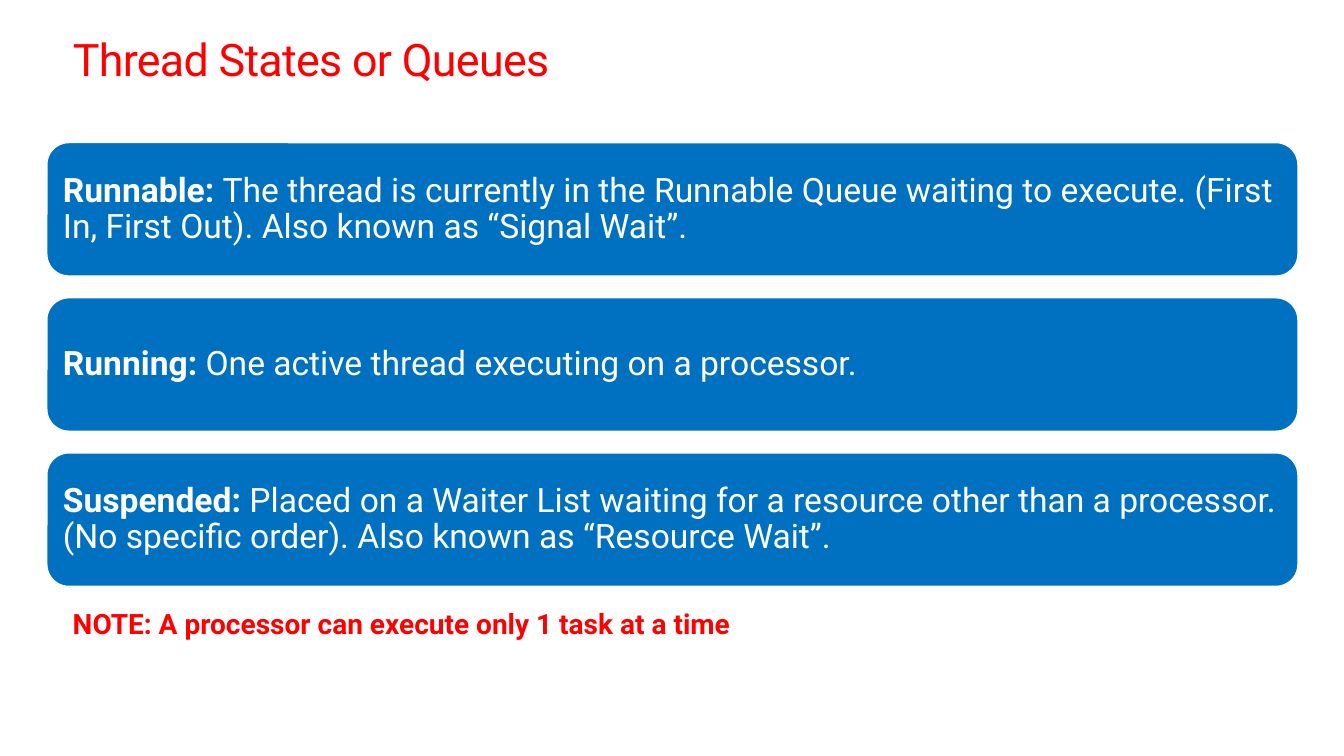
from pptx import Presentation
from pptx.dml.color import RGBColor
from pptx.enum import shapes, text
from pptx.util import Pt

RED = RGBColor(0xFF, 0x00, 0x00)
BLUE = RGBColor(0x00, 0x70, 0xC0)
WHITE = RGBColor(0xFF, 0xFF, 0xFF)
FONT = "Roboto"

STATES = [
    ("Runnable: ", "The thread is currently in the Runnable Queue waiting to execute. "
                   "(First In, First Out). Also known as “Signal Wait”."),
    ("Running: ", "One active thread executing on a processor."),
    ("Suspended: ", "Placed on a Waiter List waiting for a resource other than a processor. "
                    "(No specific order). Also known as “Resource Wait”."),
]


def write(frame, runs, size, color, inset=0, anchor=text.MSO_ANCHOR.TOP,
          line_spacing=None, tracking=None):
    """Fill a text frame with one paragraph of (wording, bold) runs."""
    frame.word_wrap = True
    frame.vertical_anchor = anchor
    frame.margin_left = frame.margin_right = Pt(inset)
    frame.margin_top = frame.margin_bottom = Pt(inset)
    paragraph = frame.paragraphs[0]
    paragraph.alignment = text.PP_ALIGN.LEFT
    paragraph.line_spacing = line_spacing
    for wording, bold in runs:
        run = paragraph.add_run()
        run.text = wording
        run.font.name = FONT
        run.font.size = Pt(size)
        run.font.bold = bold
        run.font.color.rgb = color
        if tracking is not None:
            run.font._element.set("spc", str(int(tracking * 100)))


def add_line(slide, box, wording, size, bold=False, **options):
    """A single line of red text: the heading or the note."""
    line = slide.shapes.add_textbox(*map(Pt, box))
    write(line.text_frame, [(wording, bold)], size, RED, **options)


def add_states(slide, box, gap):
    """Equal rounded bars, one per thread state, stacked in the box."""
    left, top, width, height = box
    bar_height = (height - gap * (len(STATES) - 1)) / len(STATES)
    for row, (state, meaning) in enumerate(STATES):
        bar = slide.shapes.add_shape(
            shapes.MSO_SHAPE.ROUNDED_RECTANGLE, Pt(left),
            Pt(top + row * (bar_height + gap)), Pt(width), Pt(bar_height))
        bar.shadow.inherit = False
        bar.fill.solid()
        bar.fill.fore_color.rgb = BLUE
        bar.line.color.rgb = WHITE
        bar.line.width = Pt(1.5)
        write(bar.text_frame, [(state, True), (meaning, False)], 24, WHITE,
              inset=7.2, anchor=text.MSO_ANCHOR.MIDDLE, line_spacing=0.9)


def main():
    deck = Presentation()
    deck.slide_width, deck.slide_height = Pt(960), Pt(540)
    slide = deck.slides.add_slide(deck.slide_layouts[6])

    # Heading
    add_line(slide, (52, 25.2, 857, 36), "Thread States or Queues", 32,
             line_spacing=Pt(36.2), tracking=-0.5)
    # Thread states
    add_states(slide, (33.2, 101.6, 894.2, 317.5), gap=15)
    # Note
    add_line(slide, (52, 433, 604, 24.5),
             "NOTE: A processor can execute only 1 task at a time", 20, bold=True)

    deck.save("out.pptx")


if __name__ == "__main__":
    main()
